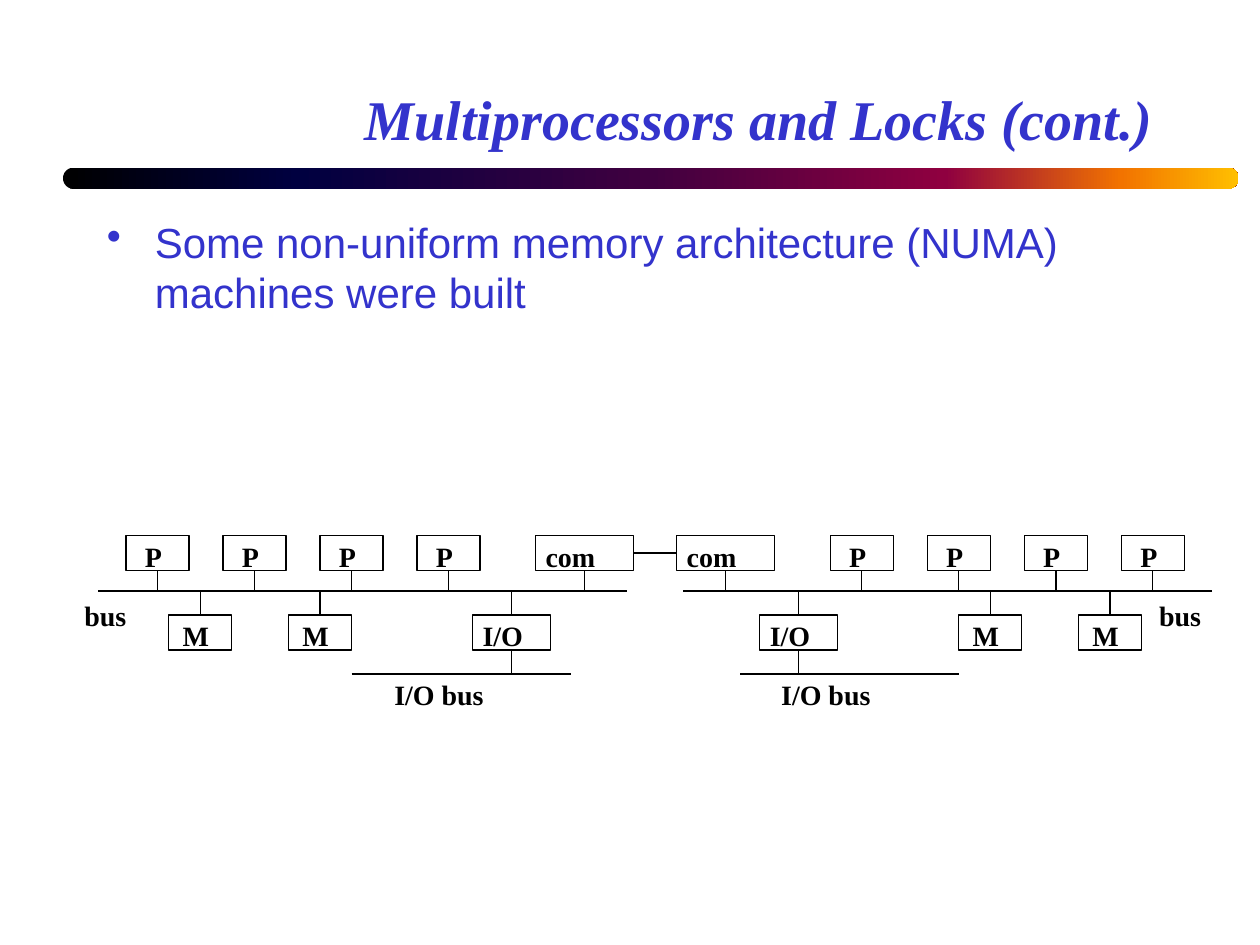
from copy import deepcopy
from lxml import etree
from pptx import Presentation
from pptx.dml.color import RGBColor
from pptx.enum.shapes import MSO_CONNECTOR, MSO_SHAPE
from pptx.enum.text import MSO_ANCHOR, PP_ALIGN
from pptx.oxml.ns import qn
from pptx.util import Inches, Pt

RECT, ROUND = MSO_SHAPE.RECTANGLE, MSO_SHAPE.ROUNDED_RECTANGLE
LINE = MSO_CONNECTOR.STRAIGHT
TOP, BASE = MSO_ANCHOR.TOP, MSO_ANCHOR.BOTTOM
LEFT, RIGHT = PP_ALIGN.LEFT, PP_ALIGN.RIGHT
UP, WEST, DOWN, EAST = range(4)  # connection sites of a rectangle

HEX = {"ink": "000000", "blue": "3333CC"}
RAMP = {0: "000000", 20: "000040", 50: "400040",
        75: "8F0040", 90: "F27300", 100: "FFBF00"}
TITLE = {"name": "Times New Roman", "size": Pt(32), "bold": True, "italic": True}
BODY = {"name": "Arial", "size": Pt(24)}
LABEL = {"name": "Times New Roman", "size": Pt(16), "bold": True}

# Kind of unit: width and left inset of its label
UNITS = {"P": (0.5, 0.15), "M": (0.5, 0.11), "I/O": (0.62, 0.08), "com": (0.78, 0.08)}
HIGH = 0.28


def rgb(key):
    return RGBColor.from_string(HEX[key])


def write(frame, text, look, color, pads=(0, 0, 0, 0), align=LEFT, anchor=TOP, wrap=True):
    sides = ("margin_left", "margin_top", "margin_right", "margin_bottom")
    form = {side: Inches(pad) for side, pad in zip(sides, pads)}
    form |= {"word_wrap": wrap, "vertical_anchor": anchor}
    for key, val in form.items():
        setattr(frame, key, val)
    para = frame.paragraphs[0]
    para.alignment = align
    run = para.add_run()
    run.text = text
    for key, val in look.items():
        setattr(run.font, key, val)
    run.font.color.rgb = rgb(color)
    return para


def text_box(slide, box, text, look, color, **form):
    area = slide.shapes.add_textbox(*map(Inches, box))
    return write(area.text_frame, text, look, color, **form)


def stroke(shape):
    shape.line.color.rgb = rgb("ink")
    shape.line.width = Pt(0.75)


def wire(slide, x1, y1, x2, y2):
    line = slide.shapes.add_connector(LINE, *map(Inches, (x1, y1, x2, y2)))
    stroke(line)
    etree.SubElement(line._element.spPr, qn("a:effectLst"))
    return line


def unit(slide, kind, mid, top):
    wide, pad = UNITS[kind]
    box = (mid - wide / 2, top, wide, HIGH)
    rect = slide.shapes.add_shape(RECT, *map(Inches, box))
    rect.shadow.inherit = False
    rect.fill.background()
    stroke(rect)
    write(rect.text_frame, kind, LABEL, "ink", pads=(pad, 0.03, 0, 0))
    return rect


def header(slide, box):
    x, y, w, h = box
    text_box(slide, (x + 0.25, y, 8.5, 1), "Multiprocessors and Locks (cont.)", TITLE,
             "blue", pads=(0.1, 0.05, 0.1, 0.05), align=RIGHT, anchor=BASE)
    # Rounded bar with a colour ramp
    bar = slide.shapes.add_shape(ROUND, *map(Inches, (x, y + h - 0.17, w, 0.17)))
    bar.shadow.inherit = False
    bar.adjustments[0] = 0.5
    bar.line.fill.background()
    bar.fill.gradient()
    bar.fill.gradient_angle = 0
    stops = bar._element.spPr.find(".//" + qn("a:gsLst"))
    while len(stops) < len(RAMP):
        stops.append(deepcopy(stops[0]))
    for stop, (pos, color) in zip(bar.fill.gradient_stops, RAMP.items()):
        stop.position = pos / 100
        stop.color.rgb = RGBColor.from_string(color)


def body(slide, box):
    para = text_box(slide, box,
                    "Some non-uniform memory architecture (NUMA) machines were built",
                    BODY, "blue", pads=(0.1, 0.05, 0.1, 0.05))
    para.space_before = para.space_after = Pt(4.8)
    props = para._p.get_or_add_pPr()
    props.set("marL", str(Inches(0.38)))
    props.set("indent", str(-Inches(0.38)))
    tint = etree.SubElement(props, qn("a:buClr"))
    etree.SubElement(tint, qn("a:srgbClr"), val=HEX["blue"])
    etree.SubElement(props, qn("a:buChar"), char="•")


def node(slide, box, flip, bus, io_bus):
    """One machine; bus and io_bus are the left offsets of the two labels."""
    x, y, w, h = box
    rail, low, floor = y + 0.44, y + 0.63, y + 1.1

    def at(off):
        return x + w - off if flip else x + off

    # Processors and link unit above the bus
    tops = [("P", 0.47 + 0.77 * i) for i in range(4)] + [("com", 3.86)]
    for kind, off in tops:
        com = unit(slide, kind, at(off), y)
        wire(slide, at(off), y + HIGH, at(off), rail).begin_connect(com, DOWN)

    # Memories and I/O unit below it
    for kind, off in (("M", 0.81), ("M", 1.76), ("I/O", 3.28)):
        port = unit(slide, kind, at(off), low)
        wire(slide, at(off), rail, at(off), low).end_connect(port, UP)
    wire(slide, at(off), low + HIGH, at(off), floor).begin_connect(port, DOWN)

    # Buses and their names
    wire(slide, at(0), rail, at(4.2), rail)
    wire(slide, at(2.01), floor, at(3.75), floor)
    text_box(slide, (x + bus, rail + 0.06, 0.34, 0.27), "bus", LABEL, "ink", wrap=False)
    text_box(slide, (x + io_bus, floor + 0.03, 0.72, 0.27), "I/O bus", LABEL, "ink",
             wrap=False)
    return com


def diagram(slide, box):
    x, y, w, h = box
    wide = 4.25
    near = node(slide, (x, y, wide, h), False, -0.11, 2.35)
    far = node(slide, (x + w - wide, y, wide, h), True, 3.83, 0.83)
    mid = y + HIGH / 2
    link = wire(slide, x + wide, mid, x + w - wide, mid)
    link.begin_connect(near, EAST)
    link.end_connect(far, WEST)


def main():
    deck = Presentation()
    deck.slide_width, deck.slide_height = Inches(10), Inches(7.5)
    slide = deck.slides.add_slide(deck.slide_layouts[6])
    header(slide, (0.5, 0.25, 9.33, 1.25))
    body(slide, (0.75, 1.67, 8.92, 5))
    diagram(slide, (0.78, 4.25, 8.84, 1.4))
    deck.save("out.pptx")


if __name__ == "__main__":
    main()
